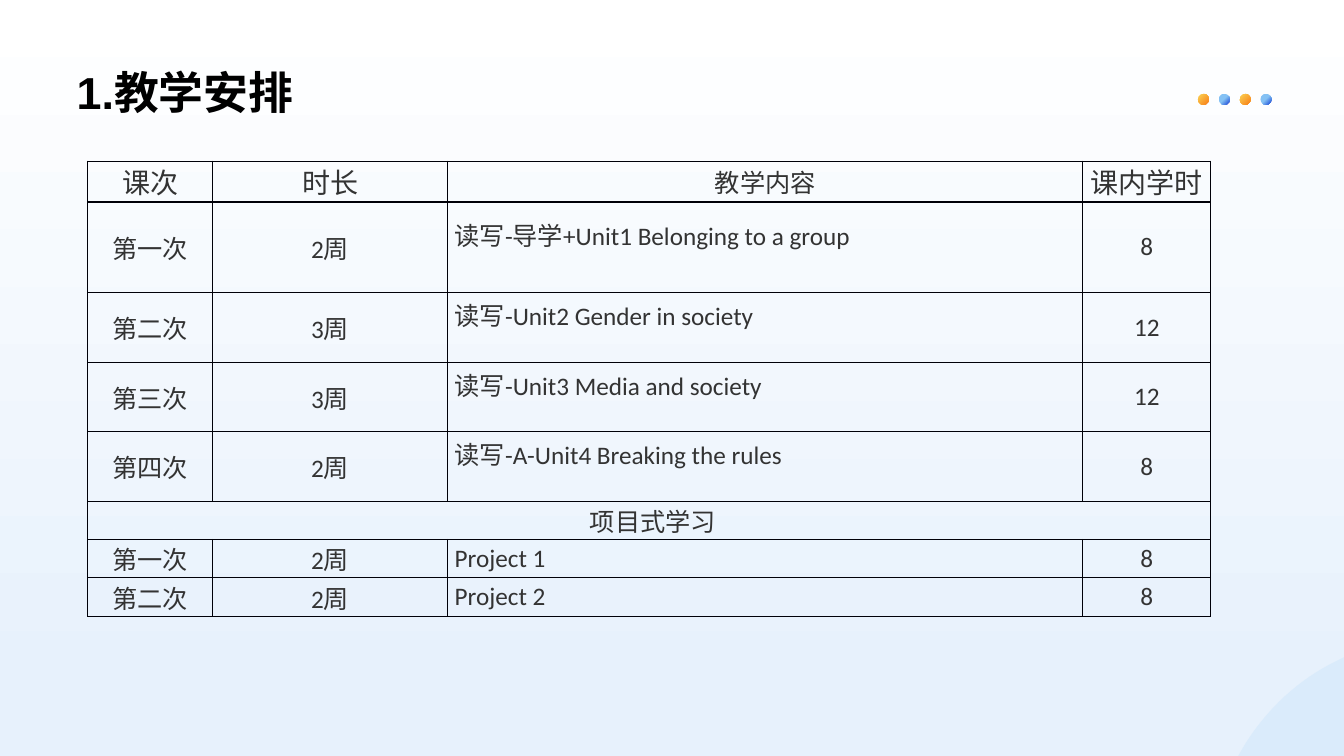
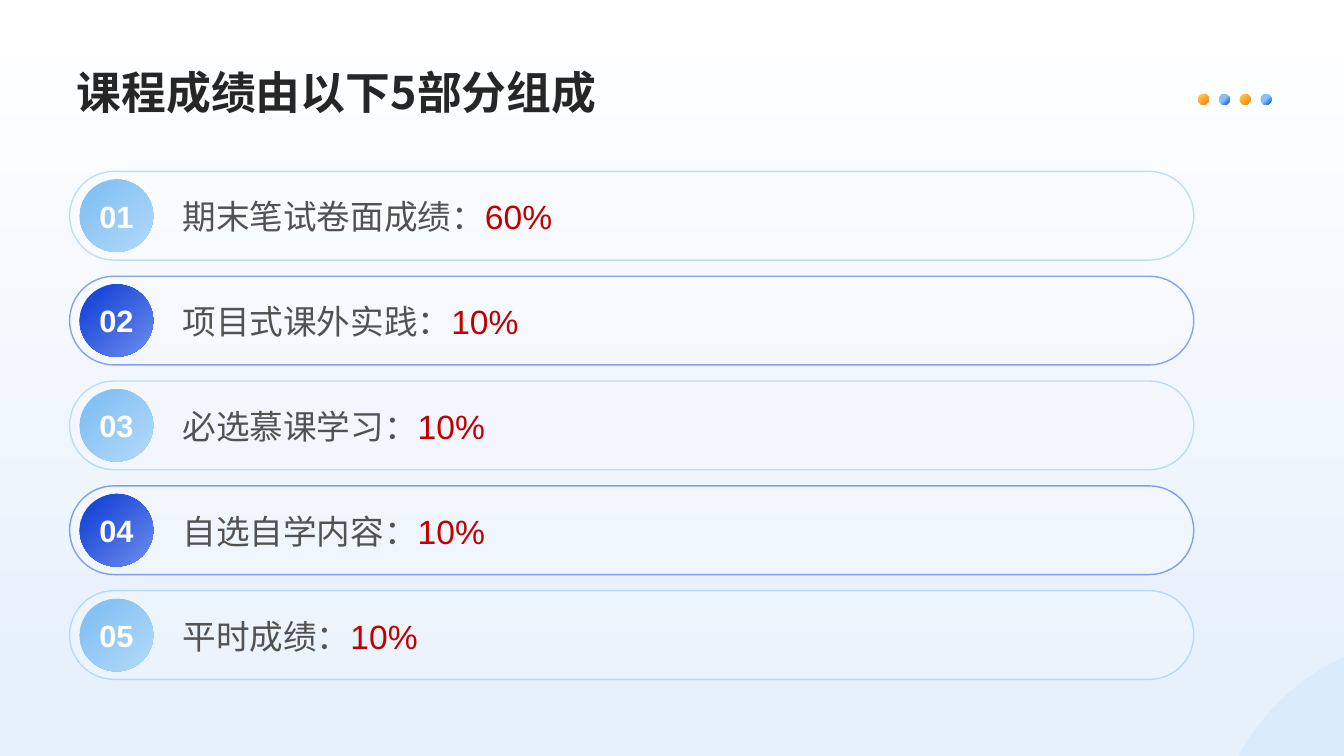
from dataclasses import dataclass

from pptx import Presentation
from pptx.dml.color import RGBColor
from pptx.enum.shapes import MSO_SHAPE
from pptx.enum.text import MSO_ANCHOR, MSO_AUTO_SIZE, PP_ALIGN
from pptx.oxml import parse_xml
from pptx.oxml.ns import nsdecls
from pptx.util import Inches, Pt


@dataclass(frozen=True)
class Theme:
    white: str = "FFFFFF"
    backdrop: str = "E7F1FC"
    corner: str = "CEE6FB"
    sky: str = "84C1F4"
    pale_sky: str = "B5DAF8"
    royal: str = "1A48D8"
    pale_royal: str = "6F8EEE"
    amber: str = "FAC348"
    orange: str = "F88A20"
    black: str = "000000"
    heading: str = "262626"
    cell_text: str = "333333"
    border: str = "000008"
    body: str = "525252"
    accent: str = "C00000"
    latin: str = "Arial"
    table_latin: str = "Calibri"
    cjk: str = "Noto Sans CJK SC"
    title_size: int = 32
    item_size: int = 24
    badge_size: int = 22
    header_size: int = 20
    cell_size: int = 18


THEME = Theme()

COLUMN_WIDTHS = (1.24, 2.33, 6.3, 1.27)
ROW_HEIGHTS = (0.36, 0.9, 0.69, 0.69, 0.69, 0.38, 0.38, 0.38)
HEADER_ROW, PROJECT_ROW, CONTENT_COLUMN = 0, 5, 2
SCHEDULE = (
    ("课次", "时长", "教学内容", "课内学时"),
    ("第一次", "2周", "读写-导学+Unit1 Belonging to a group", "8"),
    ("第二次", "3周", "读写-Unit2 Gender in society", "12"),
    ("第三次", "3周", "读写-Unit3 Media and society", "12"),
    ("第四次", "2周", "读写-A-Unit4 Breaking the rules", "8"),
    ("项目式学习",),
    ("第一次", "2周", "Project 1", "8"),
    ("第二次", "2周", "Project 2", "8"),
)

GRADE_PARTS = (
    ("期末笔试卷面成绩：", "60%"),
    ("项目式课外实践：", "10%"),
    ("必选慕课学习：", "10%"),
    ("自选自学内容：", "10%"),
    ("平时成绩：", "10%"),
)


def rgb(color):
    return RGBColor.from_string(color)


def write(paragraph, text, *, size, color, font=THEME.latin, bold=False,
          align=PP_ALIGN.LEFT):
    paragraph.alignment = align
    run = paragraph.add_run()
    run.text = text
    run.font.size = Pt(size)
    run.font.bold = bold
    run.font.color.rgb = rgb(color)
    run.font.name = font
    run.font._element.append(
        parse_xml(f'<a:ea {nsdecls("a")} typeface="{THEME.cjk}"/>'))


def set_frame(frame, anchor, wrap=True):
    frame.margin_left = frame.margin_right = 0
    frame.margin_top = frame.margin_bottom = 0
    frame.auto_size = MSO_AUTO_SIZE.NONE
    frame.word_wrap = wrap
    frame.vertical_anchor = anchor


def paint_gradient(fill, stops, angle):
    fill.gradient()
    fill.gradient_angle = angle
    for stop, (position, color) in zip(fill.gradient_stops, stops):
        stop.position = position
        stop.color.rgb = rgb(color)


def fade(shape, fill_tag, percent):
    for color in shape.element.spPr.xpath(f"{fill_tag}/a:srgbClr"):
        color.append(parse_xml(
            f'<a:alpha {nsdecls("a")} val="{percent * 1000}"/>'))


def add_disc(slide, left, top, width, height, stops):
    disc = slide.shapes.add_shape(
        MSO_SHAPE.OVAL, Inches(left), Inches(top), Inches(width), Inches(height))
    disc.shadow.inherit = False
    disc.line.fill.background()
    paint_gradient(disc.fill, stops, 315)
    return disc


def curve(start, control_a, control_b, end, steps=16):
    for step in range(1, steps + 1):
        t = step / steps
        weights = ((1 - t) ** 3, 3 * t * (1 - t) ** 2, 3 * t * t * (1 - t), t ** 3)
        points = (start, control_a, control_b, end)
        yield tuple(sum(w * point[axis] for w, point in zip(weights, points))
                    for axis in (0, 1))


def add_corner(slide):
    arc_start = (12.35, 7.38)
    outline = [(13.33, 7.5), (12.28, 7.5), arc_start,
               *curve(arc_start, (12.57, 7.03), (12.88, 6.74), (13.25, 6.56))]
    builder = slide.shapes.build_freeform(Inches(13.33), Inches(6.52))
    builder.add_line_segments([(Inches(x), Inches(y)) for x, y in outline])
    corner = builder.convert_to_shape()
    corner.shadow.inherit = False
    corner.line.fill.background()
    corner.fill.solid()
    corner.fill.fore_color.rgb = rgb(THEME.corner)
    fade(corner, "a:solidFill", 50)
    return corner


def decorate_layout(prs, layout, slide):
    paint_gradient(prs.slide_master.background.fill,
                   ((0, THEME.white), (0.91, THEME.backdrop)), 270)
    warm = ((0.23, THEME.amber), (0.88, THEME.orange))
    cool = ((0.52, THEME.sky), (1, THEME.royal))
    decorations = [add_corner(slide)]
    for index, stops in enumerate((warm, cool) * 2):
        decorations.append(
            add_disc(slide, 11.88 + index * 0.207, 0.93, 0.11, 0.11, stops))
    for number, decoration in enumerate(decorations, 101):
        decoration.element.nvSpPr.cNvPr.set("id", str(number))
        layout.shapes.element.append(decoration.element)


def set_title(slide, text, **format):
    title = slide.shapes.title
    title.left, title.top = Inches(0.76), Inches(0.39)
    title.width, title.height = Inches(11.81), Inches(0.79)
    set_frame(title.text_frame, MSO_ANCHOR.BOTTOM)
    write(title.text_frame.paragraphs[0], text,
          size=THEME.title_size, bold=True, **format)


def format_cell(cell, left=0.07, bottom=0):
    cell.vertical_anchor = MSO_ANCHOR.MIDDLE
    cell.margin_left, cell.margin_right = Inches(left), Inches(0.07)
    cell.margin_top, cell.margin_bottom = 0, Inches(bottom)
    cell.fill.background()
    properties = cell._tc.get_or_add_tcPr()
    for position, side in enumerate("LRTB"):
        properties.insert(position, parse_xml(
            f'<a:ln{side} {nsdecls("a")} w="{Pt(1)}"><a:solidFill>'
            f'<a:srgbClr val="{THEME.border}"/></a:solidFill></a:ln{side}>'))


def add_schedule(slide):
    schedule = slide.shapes.add_table(
        len(ROW_HEIGHTS), len(COLUMN_WIDTHS), Inches(0.87), Inches(1.6),
        Inches(sum(COLUMN_WIDTHS)), Inches(sum(ROW_HEIGHTS))).table
    schedule.first_row = schedule.horz_banding = False
    for column, width in zip(schedule.columns, COLUMN_WIDTHS):
        column.width = Inches(width)
    for row, height in zip(schedule.rows, ROW_HEIGHTS):
        row.height = Inches(height)
    schedule.cell(PROJECT_ROW, 0).merge(
        schedule.cell(PROJECT_ROW, len(COLUMN_WIDTHS) - 1))

    for r, texts in enumerate(SCHEDULE):
        for c in range(len(COLUMN_WIDTHS)):
            is_content = c == CONTENT_COLUMN and r not in (HEADER_ROW, PROJECT_ROW)
            is_unit = is_content and r < PROJECT_ROW
            cell = schedule.cell(r, c)
            format_cell(cell, left=0.14 if r == PROJECT_ROW else 0.07,
                        bottom=0.25 if is_unit else 0)
            if c >= len(texts):
                continue
            is_large = r == HEADER_ROW and c != CONTENT_COLUMN
            write(cell.text_frame.paragraphs[0], texts[c],
                  size=THEME.header_size if is_large else THEME.cell_size,
                  color=THEME.cell_text, font=THEME.table_latin,
                  align=PP_ALIGN.LEFT if is_content else PP_ALIGN.CENTER)


def add_grade_part(slide, index, label, share):
    tones = ((THEME.sky, THEME.pale_sky), (THEME.royal, THEME.pale_royal))
    strong, pale = tones[index % 2]
    top, height = 1.7 + index * 1.04, 0.88

    pill = slide.shapes.add_shape(
        MSO_SHAPE.ROUNDED_RECTANGLE, Inches(0.69), Inches(top),
        Inches(11.15), Inches(height))
    pill.adjustments[0] = 0.5
    pill.shadow.inherit = False
    pill.fill.solid()
    pill.fill.fore_color.rgb = rgb(THEME.white)
    pill.line.color.rgb = rgb(strong)
    pill.line.width = Pt(1)
    fade(pill, "a:solidFill", 20)
    fade(pill, "a:ln/a:solidFill", 50)

    badge = add_disc(slide, 0.79, top + 0.08, 0.73, 0.72,
                     ((0.17, strong), (1, pale)))
    set_frame(badge.text_frame, MSO_ANCHOR.MIDDLE, wrap=False)
    write(badge.text_frame.paragraphs[0], f"{index + 1:02d}",
          size=THEME.badge_size, color=THEME.white, bold=True,
          align=PP_ALIGN.CENTER)

    caption = slide.shapes.add_textbox(
        Inches(1.81), Inches(top + 0.2), Inches(4.1), Inches(0.49)).text_frame
    set_frame(caption, MSO_ANCHOR.MIDDLE)
    for text, color in ((label, THEME.body), (share, THEME.accent)):
        write(caption.paragraphs[0], text, size=THEME.item_size, color=color)


def main():
    prs = Presentation()
    prs.slide_width, prs.slide_height = Inches(13.33), Inches(7.5)
    title_only = prs.slide_layouts[5]

    arrangement = prs.slides.add_slide(title_only)
    decorate_layout(prs, title_only, arrangement)
    set_title(arrangement, "1.教学安排", color=THEME.black)
    add_schedule(arrangement)

    grading = prs.slides.add_slide(title_only)
    set_title(grading, "课程成绩由以下5部分组成",
              color=THEME.heading, font=THEME.cjk)
    for index, (label, share) in enumerate(GRADE_PARTS):
        add_grade_part(grading, index, label, share)

    prs.save("out.pptx")


if __name__ == "__main__":
    main()
